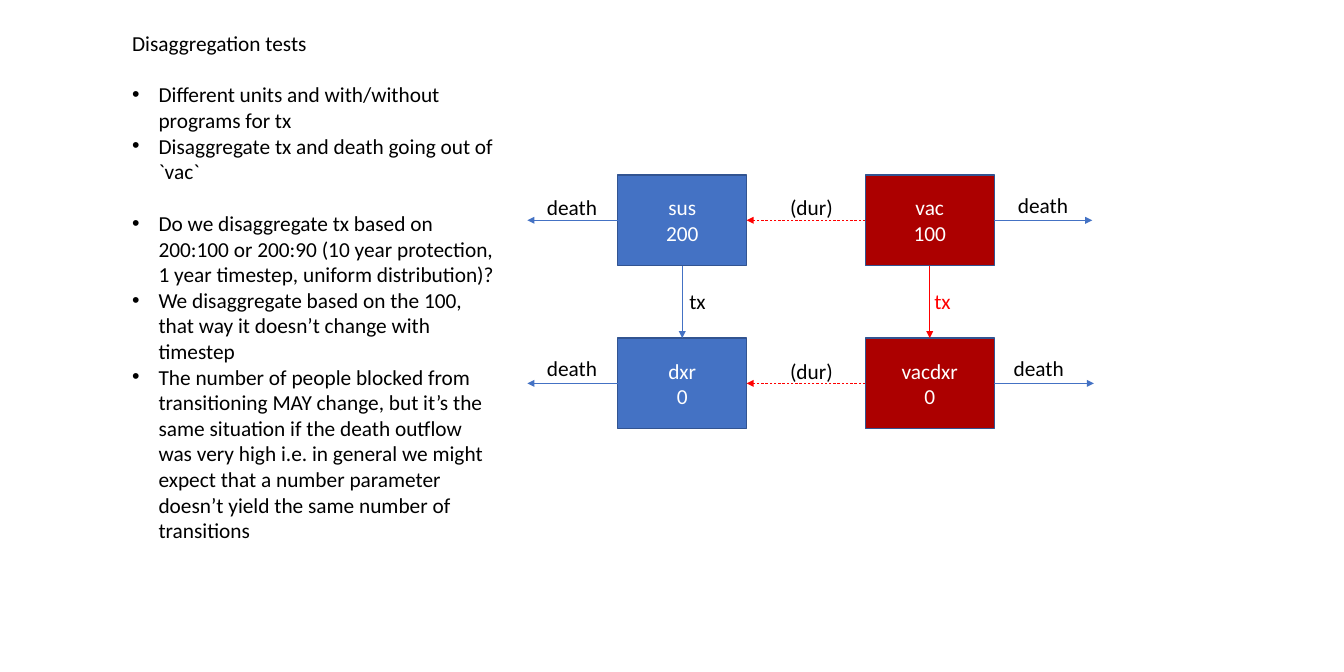
import lxml.etree
import pptx
import pptx.util
import pptx.dml.color
import pptx.enum.dml
import pptx.enum.shapes
import pptx.enum.text
import pptx.oxml.ns
from dataclasses import dataclass

Inches = pptx.util.Inches
Pt = pptx.util.Pt
TOP, LEFT, BOTTOM, RIGHT = range(4)  # connection sites of a rectangle


@dataclass(frozen=True)
class Theme:
    """Colours, font and sizes of the slide."""
    font: str = "Calibri"
    size: int = 18
    text: str = "000000"
    on_fill: str = "FFFFFF"
    blue: str = "4472C4"
    dark_red: str = "AC0000"
    border: str = "325491"
    red: str = "FF0000"
    thin: float = 0.5
    thick: float = 1


THEME = Theme()
BOX_W, BOX_H = 1.51, 1.06
COLUMNS = (7.24, 10.14)
ROWS = (2.05, 3.96)

# name, value, column, row, fill
COMPARTMENTS = [
    ("sus", "200", 0, 0, THEME.blue),
    ("vac", "100", 1, 0, THEME.dark_red),
    ("vacdxr", "0", 1, 1, THEME.dark_red),
    ("dxr", "0", 0, 1, THEME.blue),
]
# source, target, sites, colour, width, dashed
TRANSITIONS = [
    ("sus", "dxr", (BOTTOM, TOP), THEME.blue, THEME.thin, False),
    ("vac", "vacdxr", (BOTTOM, TOP), THEME.red, THEME.thick, False),
    ("vac", "sus", (LEFT, RIGHT), THEME.red, THEME.thin, True),
    ("vacdxr", "dxr", (LEFT, RIGHT), THEME.red, THEME.thin, True),
]
# source, site, x of the arrow tip
DEATHS = [
    ("vac", RIGHT, 12.8),
    ("vacdxr", RIGHT, 12.82),
    ("sus", LEFT, 6.18),
    ("dxr", LEFT, 6.18),
]
# text, left, top, width, colour
LABELS = [
    ("(dur)", 9.16, 2.23, 0.78, THEME.text),
    ("(dur)", 9.16, 4.14, 0.78, THEME.text),
    ("tx", 10.85, 3.33, 0.42, THEME.red),
    ("tx", 7.98, 3.33, 0.42, THEME.text),
    ("death", 11.83, 2.2, 0.88, THEME.text),
    ("death", 11.78, 4.11, 0.88, THEME.text),
    ("death", 6.31, 4.11, 0.88, THEME.text),
    ("death", 6.31, 2.23, 0.88, THEME.text),
]
TITLE = "Disaggregation tests"
# Each group of bullets is set off by a one-line gap
BULLET_GROUPS = [
    ["Different units and with/without programs for tx",
     "Disaggregate tx and death going out of `vac`"],
    ["Do we disaggregate tx based on 200:100 or 200:90 (10 year protection, "
     "1 year timestep, uniform distribution)?",
     "We disaggregate based on the 100, that way it doesn’t change with timestep",
     "The number of people blocked from transitioning MAY change, but it’s the "
     "same situation if the death outflow was very high i.e. in general we might "
     "expect that a number parameter doesn’t yield the same number of transitions"],
]


def rgb(color):
    """Turn a hex string into a colour."""
    return pptx.dml.color.RGBColor.from_string(color)


def add_xml(parent, tag, **attributes):
    """Append a DrawingML element with the given attributes."""
    lxml.etree.SubElement(parent, pptx.oxml.ns.qn(tag), attributes)


def format_text(tf, color):
    """Apply the theme font to every run."""
    for p in tf.paragraphs:
        for r in p.runs:
            r.font.name = THEME.font
            r.font.size = Pt(THEME.size)
            r.font.color.rgb = rgb(color)


def add_compartment(s, name, value, column, row, fill):
    """Draw a box with a name and its number of people."""
    sp = s.shapes.add_shape(
        pptx.enum.shapes.MSO_SHAPE.RECTANGLE, Inches(COLUMNS[column]),
        Inches(ROWS[row]), Inches(BOX_W), Inches(BOX_H))
    sp.shadow.inherit = False
    sp.fill.solid()
    sp.fill.fore_color.rgb = rgb(fill)
    sp.line.color.rgb = rgb(THEME.border)
    sp.line.width = Pt(THEME.thick)
    tf = sp.text_frame
    tf.text = f"{name}\n{value}"
    tf.vertical_anchor = pptx.enum.text.MSO_ANCHOR.MIDDLE
    for p in tf.paragraphs:
        p.alignment = pptx.enum.text.PP_ALIGN.CENTER
    format_text(tf, THEME.on_fill)
    return sp


def add_arrow(s, start, end, color, width, dashed=False):
    """Draw a straight arrow between two points given in EMU."""
    cxn = s.shapes.add_connector(
        pptx.enum.shapes.MSO_CONNECTOR.STRAIGHT, *start, *end)
    cxn.line.color.rgb = rgb(color)
    cxn.line.width = Pt(width)
    if dashed:
        cxn.line.dash_style = pptx.enum.dml.MSO_LINE.DASH
    sp_pr = cxn._element.spPr
    add_xml(sp_pr.find(pptx.oxml.ns.qn("a:ln")), "a:tailEnd", type="triangle")
    add_xml(sp_pr, "a:effectLst")
    return cxn


def add_transition(s, source, target, sites, color, width, dashed):
    """Connect two compartments with an arrow."""
    cxn = add_arrow(s, (0, 0), (0, 0), color, width, dashed)
    cxn.begin_connect(source, sites[0])
    cxn.end_connect(target, sites[1])


def add_death(s, source, site, tip):
    """Draw the outflow from the side of a compartment."""
    y = source.top + source.height // 2
    x = source.left + (source.width if site == RIGHT else 0)
    cxn = add_arrow(s, (x, y), (Inches(tip), y), THEME.blue, THEME.thin)
    cxn.begin_connect(source, site)


def add_text(s, text, left, top, width, height, color, wrap):
    """Add a text box that grows with its text."""
    sp = s.shapes.add_textbox(
        Inches(left), Inches(top), Inches(width), Inches(height))
    tf = sp.text_frame
    tf.word_wrap = wrap
    tf.auto_size = pptx.enum.text.MSO_AUTO_SIZE.SHAPE_TO_FIT_TEXT
    tf.text = text
    format_text(tf, color)
    return tf


def add_notes_column(s):
    """Write the heading and the groups of bullets."""
    bullets = [b for group in BULLET_GROUPS for b in group]
    tf = add_text(s, "\n".join([TITLE, *bullets]), 1.45, 0.3, 4.44, 7.66,
                  THEME.text, True)
    group_starts = [group[0] for group in BULLET_GROUPS]
    for p in tf.paragraphs[1:]:
        if p.text in group_starts:
            p.space_before = Pt(22)
        p_pr = p._p.get_or_add_pPr()
        p_pr.set("marL", str(Inches(0.31)))
        p_pr.set("indent", str(-Inches(0.31)))
        add_xml(p_pr, "a:buFont", typeface="Arial")
        add_xml(p_pr, "a:buChar", char="•")


def main():
    """Build the slide and save it."""
    prs = pptx.Presentation()
    prs.slide_width, prs.slide_height = Inches(15.75), Inches(7.87)
    s = prs.slides.add_slide(prs.slide_layouts[6])
    boxes = {c[0]: add_compartment(s, *c) for c in COMPARTMENTS}
    for source, target, *style in TRANSITIONS:
        add_transition(s, boxes[source], boxes[target], *style)
    for source, site, tip in DEATHS:
        add_death(s, boxes[source], site, tip)
    for text, left, top, width, color in LABELS:
        add_text(s, text, left, top, width, 0.44, color, False)
    add_notes_column(s)
    prs.save("out.pptx")


main()
